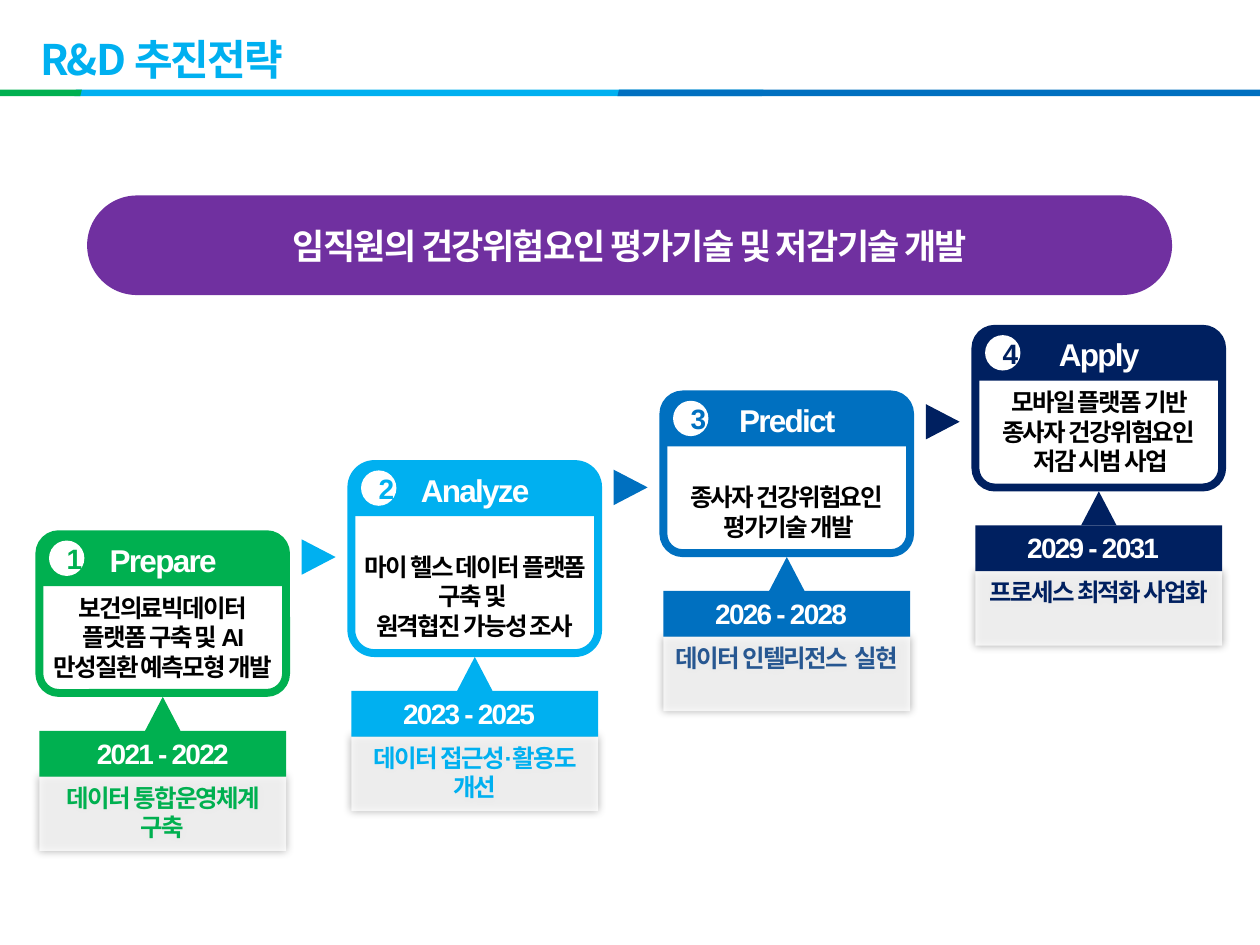
"""Build the R&D strategy slide: a banner over four rising step cards."""
from lxml import etree
from pptx import Presentation
from pptx.dml.color import RGBColor
from pptx.enum import shapes, text
from pptx.oxml.ns import qn
from pptx.util import Pt

KINDS = shapes.MSO_SHAPE
CENTER, LEFT = text.PP_ALIGN.CENTER, text.PP_ALIGN.LEFT
TOP, MIDDLE, BOTTOM = text.MSO_ANCHOR.TOP, text.MSO_ANCHOR.MIDDLE, text.MSO_ANCHOR.BOTTOM
KOREAN = "Noto Sans CJK KR"
WHITE, BLACK, PURPLE = "FFFFFF", "000000", "7030A0"
GREEN, SKY, BLUE, NAVY = "00B050", "00B0F0", "0070C0", "002060"

TITLE = "R&D 추진전략"
BANNER = "임직원의 건강위험요인 평가기술 및 저감기술 개발"
RULES = [(42.5, 393.8, SKY), (352.8, 373, BLUE), (-2.2, 49, GREEN)]
STEPS = [
    {"name": "Prepare", "top": 305.3, "height": 90.7, "color": GREEN, "inset": 0, "wrap": True,
     "body": ["보건의료빅데이터", "플랫폼 구축 및 AI 만성질환 예측모형 개발"],
     "years": "2021 - 2022", "align": CENTER, "note": "데이터 통합운영체계 구축", "ink": GREEN},
    {"name": "Analyze", "top": 265.2, "height": 108, "color": SKY, "inset": 0, "wrap": True,
     "body": ["마이 헬스 데이터 플랫폼 구축 및 ", "원격협진 가능성 조사"],
     "years": "2023 - 2025", "align": LEFT, "note": "데이터 접근성·활용도 개선", "ink": SKY},
    {"name": "Predict", "top": 225.4, "height": 90.7, "color": BLUE, "inset": 7.2, "wrap": False,
     "body": ["종사자 건강위험요인", " 평가기술 개발"],
     "years": "2026 - 2028", "align": LEFT, "note": "데이터 인텔리전스  실현", "ink": "275791"},
    {"name": "Apply", "top": 187.9, "height": 90.7, "color": NAVY, "inset": 5.8, "wrap": True,
     "body": ["모바일 플랫폼 기반 종사자 건강위험요인", " 저감 시범 사업"],
     "years": "2029 - 2031", "align": LEFT, "note": "프로세스 최적화 사업화", "ink": NAVY},
]
FIRST_LEFT, PITCH, WIDTH = 22.5, 178.3, 141
BAR_HEIGHT, BAR_GAP, BADGE = 26.2, 21.6, 20.2
ARROW_WIDTH, ARROW_HEIGHT = 20.2, 19.4


def rgb(value):
    """Turn a hex string into a colour."""
    return RGBColor.from_string(value)


def assign(target, values):
    """Set every attribute in a dict of format values."""
    for name, value in values.items():
        setattr(target, name, value)


def write(shape, lines, size, color, align=CENTER, anchor=TOP, inset=(7.2, 3.6),
          wrap=True, font="Arial", space=None):
    """Fill a shape with bold, tightly spaced paragraphs."""
    frame = shape.text_frame
    across, down = map(Pt, inset)
    assign(frame, {"word_wrap": wrap, "vertical_anchor": anchor, "margin_left": across,
                   "margin_right": across, "margin_top": down, "margin_bottom": down})
    for index, line in enumerate(lines):
        para = frame.add_paragraph() if index else frame.paragraphs[0]
        assign(para, {"alignment": align, **(space or {})})
        span = para.add_run()
        span.text = line
        assign(span.font, {"name": font, "size": Pt(size), "bold": True})
        span.font.color.rgb = rgb(color)
        props = span.font._element
        props.set("spc", "-100")
        etree.SubElement(props, qn("a:ea")).set("typeface", KOREAN)


def draw(kind, left, top, width, height, fill=None, line=None, adjust=(), turn=0):
    """Add a flat preset shape."""
    shape = page.shapes.add_shape(kind, Pt(left), Pt(top), Pt(width), Pt(height))
    assign(shape, {"rotation": turn})
    shape.shadow.inherit = False
    for index, value in enumerate(adjust):
        shape.adjustments[index] = value
    if fill:
        shape.fill.solid()
        shape.fill.fore_color.rgb = rgb(fill)
    else:
        shape.fill.background()
    if line:
        shape.line.color.rgb = rgb(line)
        shape.line.width = Pt(4.5)
    else:
        shape.line.fill.background()
    return shape


def textbox(left, top, width, height):
    """Add an empty text box."""
    return page.shapes.add_textbox(Pt(left), Pt(top), Pt(width), Pt(height))


def fade(shape):
    """Make a panel translucent and give it a soft shadow."""
    props = shape._element.spPr
    solid = props.find(qn("a:solidFill"))
    etree.SubElement(solid[0], qn("a:alpha")).set("val", "78000")
    shadow = etree.SubElement(props.find(qn("a:effectLst")), qn("a:outerShdw"),
                              blurRad=str(Pt(5)), dist="0", dir="0", algn="ctr", rotWithShape="0")
    tint = etree.SubElement(shadow, qn("a:srgbClr"), val=BLACK)
    etree.SubElement(tint, qn("a:alpha")).set("val", "40000")


def draw_step(number, step):
    """Draw one card with its header, badge, years and note."""
    left, top, color = FIRST_LEFT + PITCH * (number - 1), step["top"], step["color"]
    middle = left + WIDTH / 2
    bar = top + step["height"] + BAR_GAP

    note = draw(KINDS.RECTANGLE, left, bar + BAR_HEIGHT, WIDTH, 42.5, WHITE)
    fade(note)
    write(note, [step["note"]], 14, step["ink"], inset=(2.9, 3.6), space={"space_after": Pt(3)})
    draw(KINDS.RECTANGLE, left, bar, WIDTH, BAR_HEIGHT, color)
    years = textbox(middle - 48, bar - 0.5, 96, 26.6)
    write(years, [step["years"]], 16, WHITE, step["align"], space={"space_before": Pt(3)})
    draw(KINDS.ISOSCELES_TRIANGLE, middle - ARROW_WIDTH / 2, bar - ARROW_HEIGHT,
         ARROW_WIDTH, ARROW_HEIGHT, color)

    card = draw(KINDS.ROUNDED_RECTANGLE, left, top, WIDTH, step["height"],
                line=color, adjust=[0.122])
    write(card, step["body"], 14, BLACK, anchor=BOTTOM, inset=(step["inset"], 3.6),
          wrap=step["wrap"])
    header = draw(KINDS.ROUND_2_SAME_RECTANGLE, left + 0.5, top + 0.9, WIDTH - 0.5, 28.8,
                  color, adjust=[0.351, 0])
    write(header, [step["name"]], 18, WHITE, inset=(7.2, 0))
    badge = draw(KINDS.OVAL, left + 5.5, top + 3.6, BADGE, BADGE, WHITE)
    write(badge, [str(number)], 16, color, anchor=MIDDLE)

    if number > 1:
        draw(KINDS.ISOSCELES_TRIANGLE, left - 28.8, top + 43.4, ARROW_WIDTH, ARROW_HEIGHT,
             color, turn=90)


deck = Presentation()
assign(deck, {"slide_width": Pt(720), "slide_height": Pt(540)})
page = deck.slides.add_slide(deck.slide_layouts[6])

for rule_left, rule_width, rule_color in RULES:
    draw(KINDS.PARALLELOGRAM, rule_left, 51.2, rule_width, 3.8, rule_color)
write(textbox(15.8, 15.1, 620.6, 36.7), [TITLE], 24, SKY, LEFT, MIDDLE, font=KOREAN)
for order, entry in enumerate(STEPS, 1):
    draw_step(order, entry)
banner = draw(KINDS.ROUNDED_RECTANGLE, 49.8, 111.7, 620, 56.9, PURPLE, adjust=[0.5])
write(banner, [BANNER], 20, WHITE, anchor=MIDDLE)

deck.save("out.pptx")
